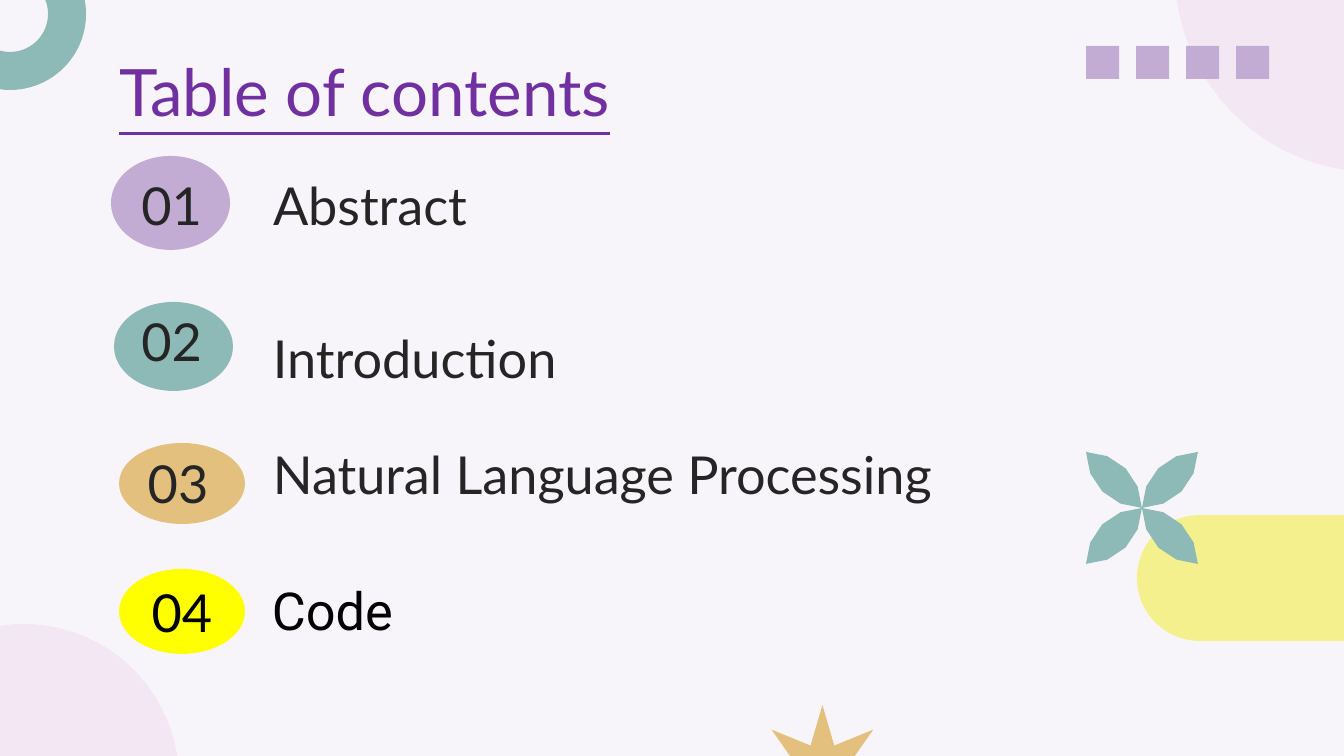
"""Build the table of contents slide."""
import math

from pptx import Presentation
from pptx import util as u
from pptx.dml.color import RGBColor
from pptx.enum import shapes, text

PX = u.Inches(10) / 1344
INSET = 13
BACKGROUND = RGBColor(0xF8, 0xF5, 0xFA)
PINK = RGBColor(0xF3, 0xE7, 0xF3)
LILAC = RGBColor(0xC2, 0xAC, 0xD3)
TEAL = RGBColor(0x8D, 0xBA, 0xB7)
SAND = RGBColor(0xE3, 0xC0, 0x7E)
PALE_YELLOW = RGBColor(0xF4, 0xF0, 0x8D)
YELLOW = RGBColor(0xFF, 0xFF, 0x00)
PURPLE = RGBColor(0x70, 0x30, 0xA0)
INK = RGBColor(0x25, 0x25, 0x25)
BLACK = RGBColor(0x00, 0x00, 0x00)
LEFT, CENTER = text.PP_ALIGN.LEFT, text.PP_ALIGN.CENTER
TOP, MIDDLE, BOTTOM = text.MSO_ANCHOR.TOP, text.MSO_ANCHOR.MIDDLE, text.MSO_ANCHOR.BOTTOM
KIND = shapes.MSO_SHAPE

deck = Presentation()
deck.slide_width, deck.slide_height = u.Inches(10), u.Emu(round(756 * PX))
page = deck.slides.add_slide(deck.slide_layouts[5])
page.background.fill.solid()
page.background.fill.fore_color.rgb = BACKGROUND


def paint(figure, colour):
    figure.shadow.inherit = False
    figure.fill.solid()
    figure.fill.fore_color.rgb = colour
    figure.line.fill.background()


def write(box, words, size, colour, font="Lato", align=LEFT, anchor=TOP, side=INSET, top=INSET):
    frame = box.text_frame
    frame.text = words
    frame.word_wrap = True
    frame.auto_size = text.MSO_AUTO_SIZE.NONE
    frame.vertical_anchor = anchor
    frame.margin_left = frame.margin_right = round(side * PX)
    frame.margin_top = round(top * PX)
    frame.margin_bottom = round(min(top, INSET) * PX)
    para = frame.paragraphs[0]
    para.alignment = align
    span = para.runs[0]
    span.font.size = u.Pt(size)
    span.font.name = font
    span.font.color.rgb = colour
    return span


decorations = [
    (KIND.OVAL, (-132, 624, 311, 311), PINK, (), 0),
    (KIND.OVAL, (1175, -227, 399, 399), PINK, (), 0),
    *[(KIND.RECTANGLE, (1086 + 50 * column, 46, 33, 33), LILAC, (), 90) for column in range(4)],
    (KIND.STAR_7_POINT, (759, 705, 127, 124), SAND, (0.21,), 0),
    (KIND.DONUT, (-66, -62, 152, 152), TEAL, (0.25,), 0),
    (KIND.ROUND_2_SAME_RECTANGLE, (1220, 432, 126, 292), PALE_YELLOW, (0.5, 0), 270),
]
for kind, bounds, colour, adjustments, rotation in decorations:
    decoration = page.shapes.add_shape(kind, *[round(n * PX) for n in bounds])
    paint(decoration, colour)
    decoration.rotation = rotation
    for index, value in enumerate(adjustments):
        decoration.adjustments[index] = value

CENTER_X, CENTER_Y, RADIUS, STEPS = 1142, 508, 56, 4
angles = [math.pi / 2 * step / STEPS for step in range(STEPS + 1)]
arc = [(RADIUS * (1 - math.cos(angle)), RADIUS * math.sin(angle)) for angle in angles]
outline = arc + [(y, x) for x, y in arc[-2:0:-1]]
for side_x, side_y in ((1, 1), (1, -1), (-1, 1), (-1, -1)):
    points = [((CENTER_X + side_x * x) * PX, (CENTER_Y + side_y * y) * PX) for x, y in outline]
    builder = page.shapes.build_freeform(*points[0])
    builder.add_line_segments(points[1:], close=True)
    paint(builder.convert_to_shape(), TEAL)

title = page.shapes.title
title.left, title.top, title.width, title.height = [round(n * PX) for n in (106, 38, 1133, 91)]
write(title, "Table of contents", 35, PURPLE).font.underline = True

rows = (
    ("01", LILAC, (111, 156, 119, 94), (111, 167, 121, 82),
     "Abstract", (260, 160, 310, 95), INSET),
    ("02", TEAL, (114, 302, 119, 89), (111, 322, 121, 63),
     "Introduction", (260, 250, 848, 175), 76),
    ("03", SAND, (119, 443, 126, 81), (124, 457, 108, 70),
     "Natural Language Processing", (260, 429, 805, 117), INSET),
    ("04", YELLOW, (119, 569, 126, 85), None,
     "Code", (259, 571, 745, 73), 7),
)
for number, colour, badge_bounds, number_bounds, topic, topic_bounds, top in rows:
    badge = page.shapes.add_shape(KIND.OVAL, *[round(n * PX) for n in badge_bounds])
    paint(badge, colour)
    if number_bounds:
        number_box = page.shapes.add_textbox(*[round(n * PX) for n in number_bounds])
        write(number_box, number, 28, INK, align=CENTER, anchor=BOTTOM)
        ink, font = INK, "Lato"
    else:
        write(badge, number, 28, BLACK, align=CENTER, anchor=MIDDLE, side=0)
        ink, font = BLACK, "Roboto"
    topic_box = page.shapes.add_textbox(*[round(n * PX) for n in topic_bounds])
    write(topic_box, topic, 28, ink, font, side=INSET, top=top)

deck.save("out.pptx")
